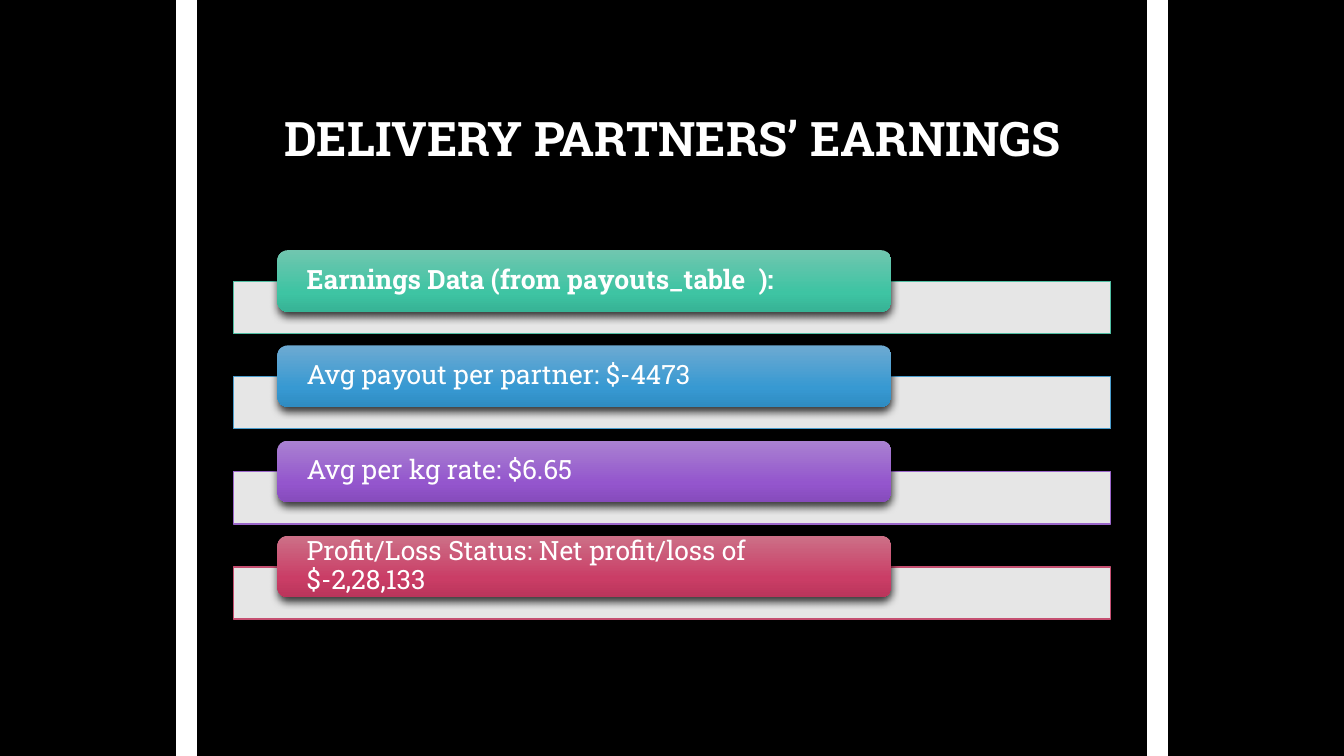
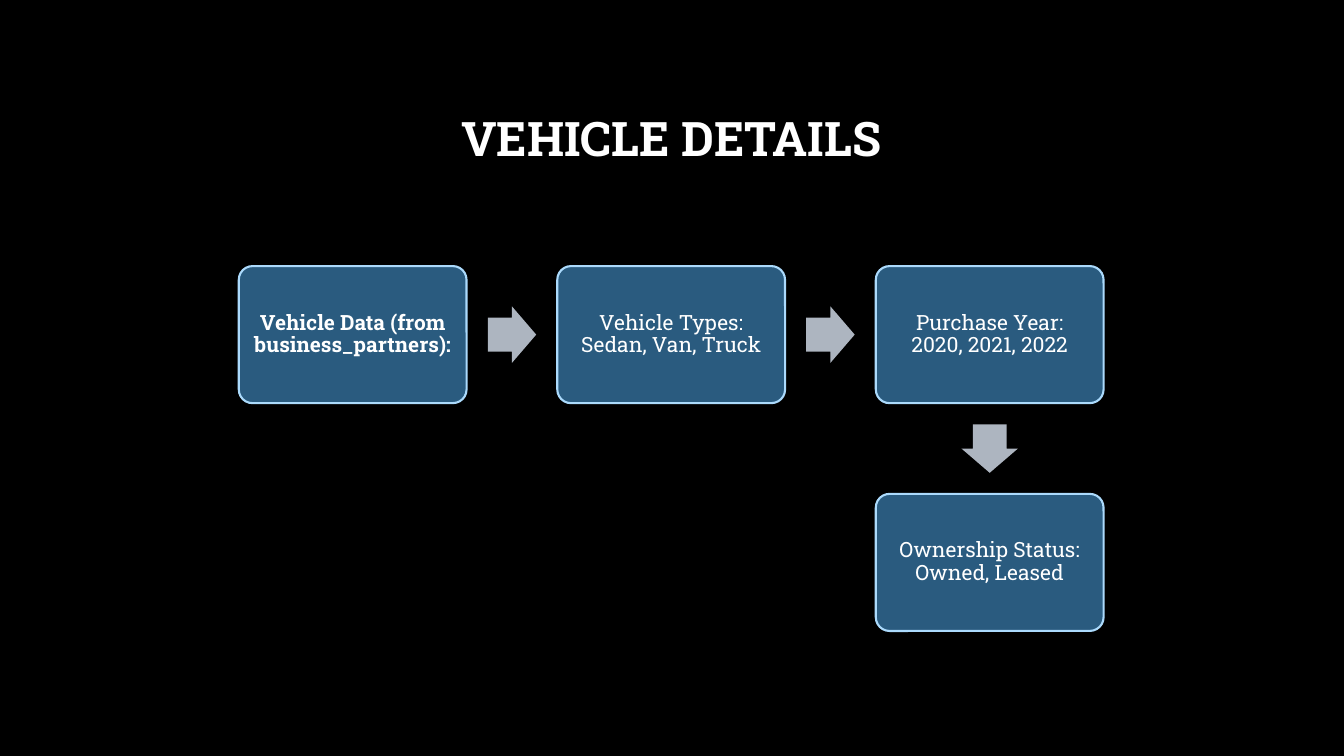
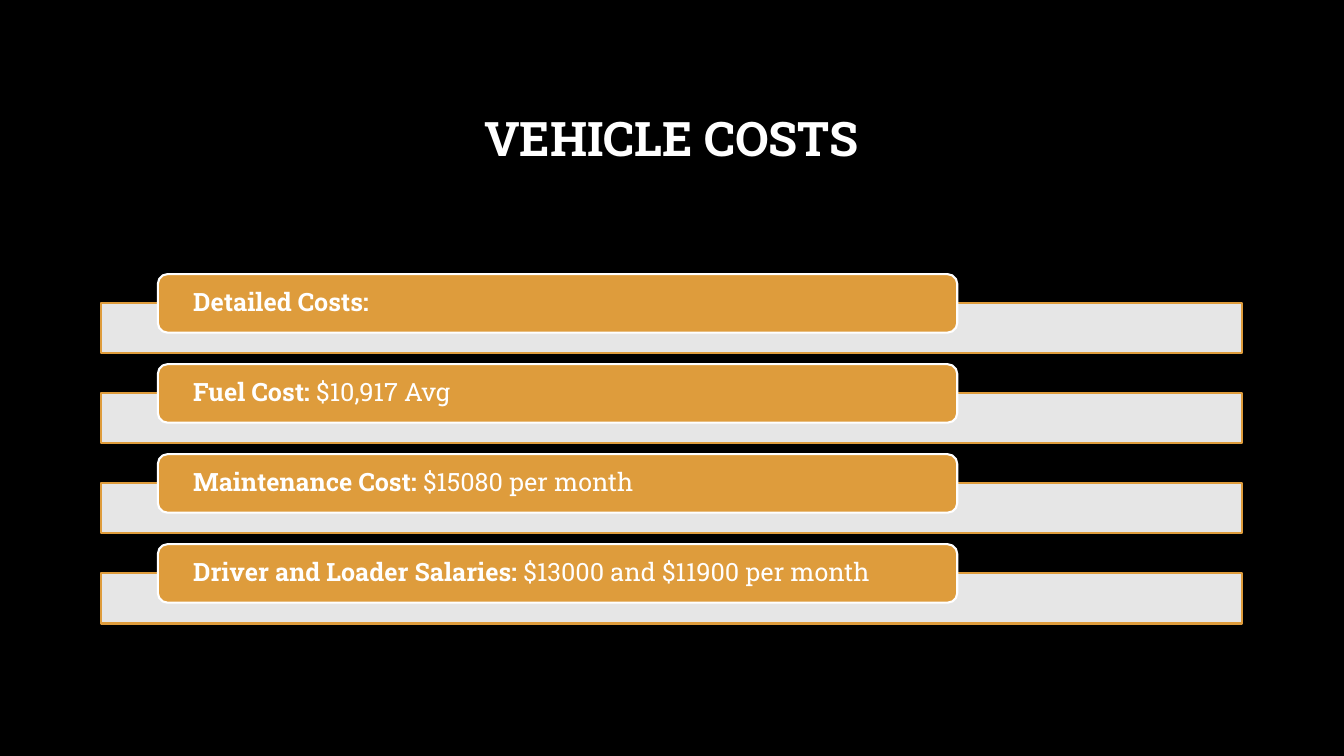
from dataclasses import dataclass

from lxml import etree
from pptx import Presentation
from pptx.dml.color import RGBColor
from pptx.enum import shapes, text
from pptx.oxml.ns import qn
from pptx.util import Pt

# Shared look
FONT = "Roboto Slab"
SLIDE_W, SLIDE_H = 960, 540
TITLE_TOP, TITLE_H = 48.24, 104.4
PANEL_TOP = 164.88
COLORS = {
    "black": "000000", "white": "FFFFFF", "orange": "DE9C3C",
    "box": "2A5B7F", "box_edge": "ABDAFC", "arrow": "ADB5C0",
    "green_edge": "50BEA3", "blue_edge": "4A9CCC",
    "purple_edge": "9A66CA", "red_edge": "C54F71",
}
GRADIENTS = {
    "green": ("70C6AF", "3EC4A3", "37B395"),
    "blue": ("6DAAD2", "3799D2", "2F8CC2"),
    "purple": ("A981D1", "9456CD", "864BBC"),
    "red": ("CC7087", "CA3D66", "BA355B"),
}
STOPS = (0, 69, 100)


@dataclass(frozen=True)
class Run:
    text: str
    bold: bool = False


@dataclass(frozen=True)
class Box:
    left: float
    top: float
    width: float
    height: float


@dataclass(frozen=True)
class Row:
    runs: tuple[Run, ...]
    color: str


@dataclass(frozen=True)
class RowList:
    """Bars with a label tab overlapping each, repeated at a fixed pitch."""
    bar: Box
    tab: Box
    pitch: float
    inset: float
    size: float
    line_width: float
    raised: bool


@dataclass(frozen=True)
class Step:
    run: Run
    column: int
    row: int


EARNINGS_LIST = RowList(Box(167, 200.9, 626.4, 37.4), Box(198.2, 178.7, 438.5, 43.9),
                        68, 18.7, 19, 1, True)
COSTS_LIST = RowList(Box(72, 216.5, 815, 36), Box(112.8, 195.8, 571, 41.8),
                     64.3, 23.2, 18, 1.5, False)
EARNINGS = (
    Row((Run("Earnings Data (from payouts_table  ):", True),), "green"),
    Row((Run("Avg payout per partner: $-4473"),), "blue"),
    Row((Run("Avg per kg rate: $6.65"),), "purple"),
    Row((Run("Profit/Loss Status: Net profit/loss of $-2,28,133"),), "red"),
)
COSTS = (
    Row((Run("Detailed Costs:", True),), "orange"),
    Row((Run("Fuel Cost:", True), Run(" $10,917 Avg")), "orange"),
    Row((Run("Maintenance Cost:", True), Run(" $15080 per month")), "orange"),
    Row((Run("Driver and Loader Salaries:", True),
         Run(" $13000 and $11900 per month")), "orange"),
)
STEPS = (
    Step(Run("Vehicle Data (from business_partners):", True), 0, 0),
    Step(Run("Vehicle Types: Sedan, Van, Truck"), 1, 0),
    Step(Run("Purchase Year: 2020, 2021, 2022"), 2, 0),
    Step(Run("Ownership Status: Owned, Leased"), 2, 1),
)
FIRST_STEP = Box(170.6, 190.1, 162.7, 97.9)
STEP_PITCH_X, STEP_PITCH_Y = 227.5, 162.7
ARROW_W, ARROW_H = 34.6, 40.3


# Formatting helpers
def rgb(name: str) -> RGBColor:
    return RGBColor.from_string(COLORS[name])


def set_alpha(color, percent: float) -> None:
    etree.SubElement(color, qn("a:alpha"), val=str(int(percent * 1000)))


def add_shadow(sp, alpha: float, blur: float, dist: float) -> None:
    effects = sp._element.spPr.find(qn("a:effectLst"))
    shadow = etree.SubElement(effects, qn("a:outerShdw"), blurRad=str(Pt(blur)),
                              dist=str(Pt(dist)), dir="5400000", rotWithShape="0")
    color = etree.SubElement(shadow, qn("a:srgbClr"), val=COLORS["black"])
    set_alpha(color, alpha)


def fill_gradient(sp, colors: tuple[str, ...]) -> None:
    sp.fill.gradient()
    sp.fill.gradient_angle = 270
    stops = sp._element.spPr.find(qn("a:gradFill")).find(qn("a:gsLst"))
    for stop in list(stops):
        stops.remove(stop)
    for pos, color in zip(STOPS, colors):
        stop = etree.SubElement(stops, qn("a:gs"), pos=str(pos * 1000))
        etree.SubElement(stop, qn("a:srgbClr"), val=color)


def write(sp, runs: tuple[Run, ...], size: float, align) -> None:
    tf = sp.text_frame
    tf.word_wrap = True
    tf.auto_size = text.MSO_AUTO_SIZE.NONE
    tf.vertical_anchor = text.MSO_ANCHOR.MIDDLE
    p = tf.paragraphs[0]
    p.alignment = align
    p.line_spacing = 0.9
    for run in runs:
        r = p.add_run()
        r.text = run.text
        r.font.name = FONT
        r.font.size = Pt(size)
        r.font.bold = run.bold
        r.font.color.rgb = rgb("white")


def set_insets(sp, side: float, end: float) -> None:
    tf = sp.text_frame
    tf.margin_left = tf.margin_right = Pt(side)
    tf.margin_top = tf.margin_bottom = Pt(end)


def add_shape(slide, kind, box: Box, fill: str, alpha: float = 100,
              line: str = "", line_width: float = 1.5):
    sp = slide.shapes.add_shape(kind, Pt(box.left), Pt(box.top),
                                Pt(box.width), Pt(box.height))
    sp.shadow.inherit = False
    if fill in GRADIENTS:
        fill_gradient(sp, GRADIENTS[fill])
    else:
        sp.fill.solid()
        sp.fill.fore_color.rgb = rgb(fill)
    if alpha < 100:
        set_alpha(sp._element.spPr.find(qn("a:solidFill"))[0], alpha)
    if line:
        sp.line.color.rgb = rgb(line)
        sp.line.width = Pt(line_width)
    else:
        sp.line.fill.background()
    return sp


# Slide parts
def add_titled_slide(prs, title: str, left: float = 72, width: float = 815):
    slide = prs.slides.add_slide(prs.slide_layouts[5])
    sp = slide.shapes.title
    sp.left, sp.top = Pt(left), Pt(TITLE_TOP)
    sp.width, sp.height = Pt(width), Pt(TITLE_H)
    write(sp, (Run(title, True),), 34, text.PP_ALIGN.CENTER)
    return slide


def add_panel(slide) -> None:
    add_shape(slide, shapes.MSO_SHAPE.RECTANGLE,
              Box(0, PANEL_TOP, SLIDE_W, SLIDE_H - PANEL_TOP), "black", 50)


def add_side_rule(slide, x: float) -> None:
    rule = slide.shapes.add_connector(shapes.MSO_CONNECTOR.STRAIGHT,
                                      Pt(x), Pt(3.6), Pt(x), Pt(SLIDE_H - 3.6))
    rule.line.color.rgb = rgb("white")
    rule.line.width = Pt(15)
    rule.line._get_or_add_ln().set("cap", "sq")
    etree.SubElement(rule._element.spPr, qn("a:effectLst"))


def add_rows(slide, layout: RowList, rows: tuple[Row, ...]) -> None:
    bar, tab = layout.bar, layout.tab
    for i, row in enumerate(rows):
        dy = i * layout.pitch
        edge = row.color + "_edge" if layout.raised else row.color
        bar_sp = add_shape(slide, shapes.MSO_SHAPE.RECTANGLE,
                           Box(bar.left, bar.top + dy, bar.width, bar.height),
                           "white", 90, edge, layout.line_width)
        tab_sp = add_shape(slide, shapes.MSO_SHAPE.ROUNDED_RECTANGLE,
                           Box(tab.left, tab.top + dy, tab.width, tab.height),
                           row.color, line="" if layout.raised else "white")
        if layout.raised:
            add_shadow(bar_sp, 54, 4, 3)
            add_shadow(tab_sp, 76, 6, 3)
        set_insets(tab_sp, layout.inset, 0)
        write(tab_sp, row.runs, layout.size, text.PP_ALIGN.LEFT)


def step_box(step: Step) -> Box:
    return Box(FIRST_STEP.left + step.column * STEP_PITCH_X,
               FIRST_STEP.top + step.row * STEP_PITCH_Y,
               FIRST_STEP.width, FIRST_STEP.height)


def add_step(slide, step: Step) -> None:
    sp = add_shape(slide, shapes.MSO_SHAPE.ROUNDED_RECTANGLE, step_box(step),
                   "box", line="box_edge")
    sp.adjustments[0] = 0.1
    set_insets(sp, 7.2, 7.2)
    write(sp, (step.run,), 15, text.PP_ALIGN.CENTER)


def add_step_arrow(slide, start: Step, end: Step) -> None:
    a, b = step_box(start), step_box(end)
    left = (a.left + b.left + a.width - ARROW_W) / 2
    top = (a.top + b.top + a.height - ARROW_H) / 2
    sp = add_shape(slide, shapes.MSO_SHAPE.RIGHT_ARROW,
                   Box(left, top, ARROW_W, ARROW_H), "arrow")
    sp.adjustments[0], sp.adjustments[1] = 0.6, 0.5
    if end.row > start.row:
        sp.rotation = 90


# Slides
def main() -> None:
    prs = Presentation()
    prs.slide_width, prs.slide_height = Pt(SLIDE_W), Pt(SLIDE_H)
    background = prs.slide_master.background.fill
    background.solid()
    background.fore_color.rgb = rgb("black")

    slide = add_titled_slide(prs, "DELIVERY PARTNERS’ EARNINGS", 167, 626.4)
    for x in (133.2, 826.6):
        add_side_rule(slide, x)
    add_rows(slide, EARNINGS_LIST, EARNINGS)

    slide = add_titled_slide(prs, "VEHICLE DETAILS")
    add_panel(slide)
    for step in STEPS:
        add_step(slide, step)
    for start, end in zip(STEPS, STEPS[1:]):
        add_step_arrow(slide, start, end)

    slide = add_titled_slide(prs, "VEHICLE COSTS")
    add_panel(slide)
    add_rows(slide, COSTS_LIST, COSTS)

    prs.save("out.pptx")


if __name__ == "__main__":
    main()
